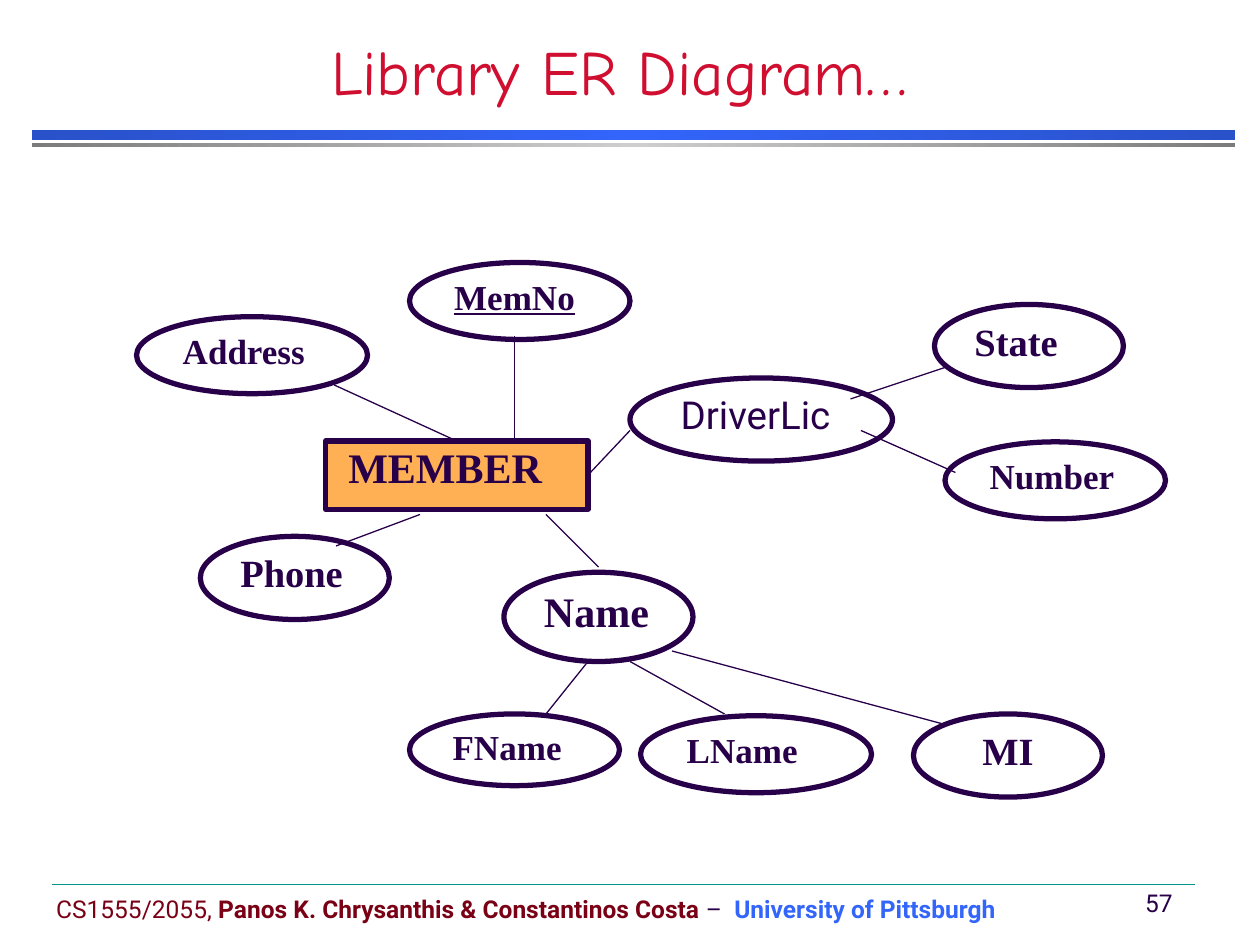
from copy import deepcopy

from pptx import Presentation
from pptx import util as u
from pptx.dml import color
from pptx.enum import shapes, text
from pptx.oxml import ns, xmlchemy
from pptx.oxml import parse_xml

INK = "280049"
SERIF = "Times New Roman"


def rgb(value):
    return color.RGBColor.from_string(value)


def write(box, words, size=14, font="Roboto", ink=INK, bold=False, underline=False,
          align=text.PP_ALIGN.LEFT, anchor=text.MSO_ANCHOR.TOP, spacing=1.0, wrap=True):
    frame = box.text_frame
    frame.word_wrap = wrap
    frame.vertical_anchor = anchor
    para = frame.paragraphs[0]
    para.alignment = align
    para.line_spacing = spacing
    span = para.add_run()
    span.text = words
    span.font.size = u.Pt(size)
    span.font.name = font
    span.font.color.rgb = rgb(ink)
    span.font.bold = bold
    span.font.underline = underline


deck = Presentation()
deck.slide_width = u.Pt(720)
deck.slide_height = u.Pt(540)
page = deck.slides.add_slide(deck.slide_layouts[6])

for top, height, edge, middle in [(74.2, 5.8, "2951C9", "3365FB"), (82, 2.2, "7C7C7C", "CECECE")]:
    bar = page.shapes.add_shape(shapes.MSO_SHAPE.RECTANGLE, u.Pt(18), u.Pt(top), u.Pt(688), u.Pt(height))
    bar.shadow.inherit = False
    bar.line.fill.background()
    bar.fill.gradient()
    bar.fill.gradient_angle = 0
    stops = bar._element.spPr.find(".//" + ns.qn("a:gsLst"))
    stops.insert(1, deepcopy(stops[0]))
    for stop, position, shade in zip(bar.fill.gradient_stops, (0, 0.5, 1), (edge, middle, edge)):
        stop.position = position
        stop.color.rgb = rgb(shade)

title = page.shapes.add_textbox(u.Pt(48), u.Pt(12), u.Pt(612), u.Pt(54))
write(title, "Library ER Diagram…", size=36, font="Comic Neue", ink="CF0E30",
      align=text.PP_ALIGN.CENTER, anchor=text.MSO_ANCHOR.BOTTOM, spacing=0.9)

footer = page.shapes.add_textbox(u.Pt(25), u.Pt(490), u.Pt(584), u.Pt(41))
for words, ink, bold in [
    ("CS1555/2055, ", "790015", False),
    ("Panos K. Chrysanthis & Constantinos Costa", "790015", True),
    (" –  ", INK, False),
    ("University of Pittsburgh", "3365FB", True),
]:
    write(footer, words, ink=ink, bold=bold, anchor=text.MSO_ANCHOR.BOTTOM)

number = page.shapes.add_textbox(u.Pt(643), u.Pt(504), u.Pt(35), u.Pt(24))
write(number, " 57", align=text.PP_ALIGN.CENTER, anchor=text.MSO_ANCHOR.MIDDLE, wrap=False)

nodes = {}
for name, left, top, width, height, size in [
    ("MEMBER", 186, 252, 150, 39, 24),
    ("Address", 78, 181, 132, 44, 20),
    ("DriverLic", 360, 216, 150, 47.5, 22),
    ("MemNo", 234, 150, 126, 44, 20),
    ("Name", 288, 327, 108, 51, 24),
    ("Phone", 114.5, 306.5, 108, 47.5, 22),
    ("FName", 234, 408, 120, 41, 20),
    ("LName", 366, 409, 132, 44, 20),
    ("MI", 522, 408, 108, 47.5, 22),
    ("State", 534, 174, 108, 47.5, 22),
    ("Number", 540, 252.5, 126, 44, 20),
]:
    entity = name == "MEMBER"
    kind = shapes.MSO_SHAPE.RECTANGLE if entity else shapes.MSO_SHAPE.OVAL
    node = page.shapes.add_shape(kind, u.Pt(left), u.Pt(top), u.Pt(width), u.Pt(height))
    node.shadow.inherit = False
    node.fill.solid()
    node.fill.fore_color.rgb = rgb("FFB054" if entity else "FFFFFF")
    node.line.color.rgb = rgb(INK)
    node.line.width = u.Pt(3)
    plain = name == "DriverLic"
    write(node, " MEMBER" if entity else name, size=size, font="Roboto" if plain else SERIF,
          bold=not plain, underline=name == "MemNo", spacing=0.9,
          align=text.PP_ALIGN.CENTER if name == "MI" else text.PP_ALIGN.LEFT)
    nodes[name] = node

links = {}
for name, x1, y1, x2, y2, ink, weight in [
    ("footer rule", 30, 505, 683, 505, "009688", 0.25),
    ("Address", 191, 220, 261, 252, INK, 0.75),
    ("Phone", 240, 294, 192, 312, INK, 0.75),
    ("MemNo", 294, 192, 294, 252, INK, 0.75),
    ("DriverLic", 336, 270, 360, 246, INK, 0.75),
    ("Name", 312, 294, 342, 324, INK, 0.75),
    ("FName", 336, 378, 312, 408, INK, 0.75),
    ("LName", 360, 378, 414, 408, INK, 0.75),
    ("MI", 384, 372, 540, 414, INK, 0.75),
    ("State", 486, 228, 540, 210, INK, 0.75),
    ("Number", 492, 246, 546, 270, INK, 0.75),
]:
    link = page.shapes.add_connector(shapes.MSO_CONNECTOR.STRAIGHT, u.Pt(x1), u.Pt(y1), u.Pt(x2), u.Pt(y2))
    link.line.color.rgb = rgb(ink)
    link.line.width = u.Pt(weight)
    link._element.spPr.append(xmlchemy.OxmlElement("a:effectLst"))
    links[name] = link

links["Address"].end_connect(nodes["MEMBER"], 0)
links["DriverLic"].begin_connect(nodes["MEMBER"], 3)

deck.save("out.pptx")
